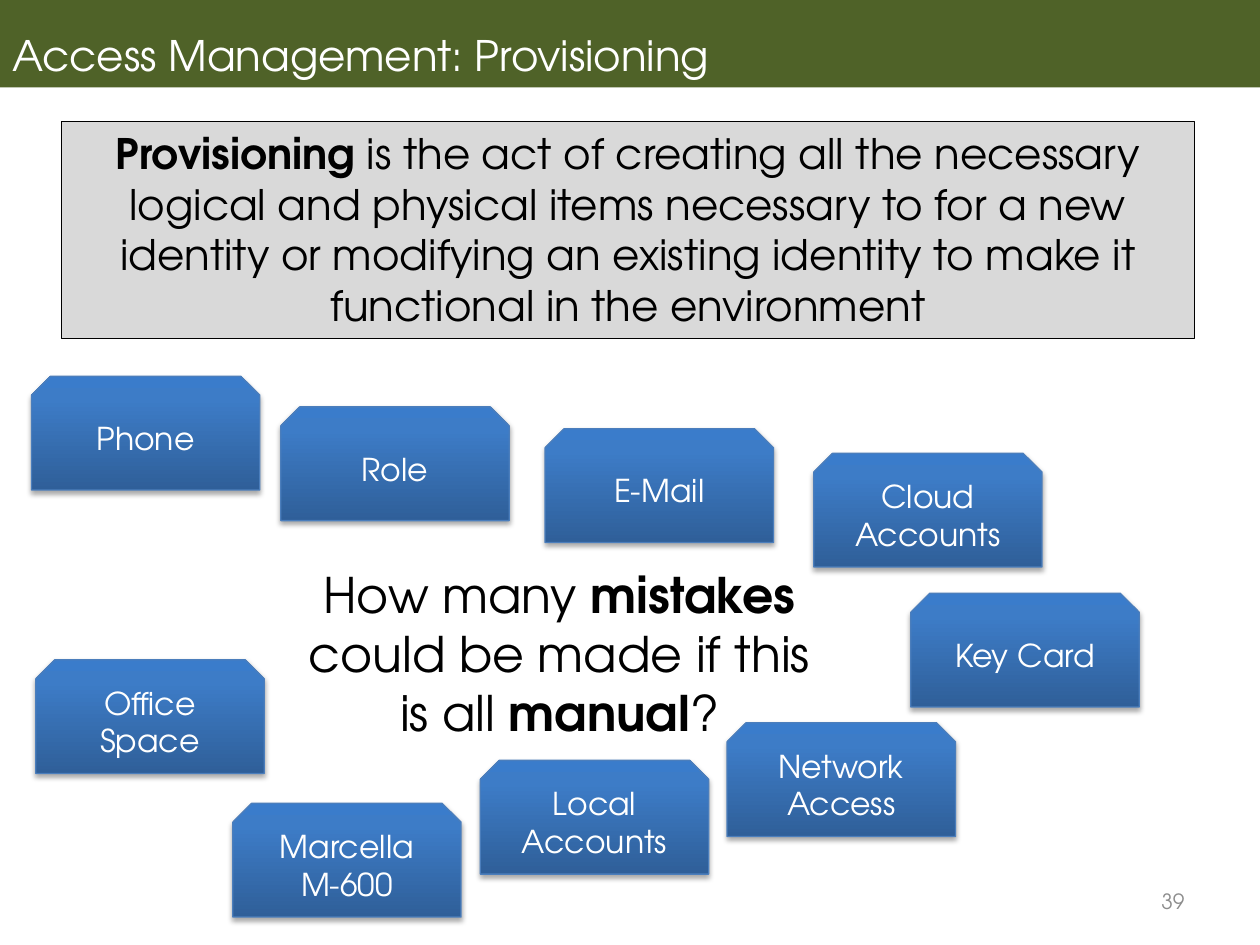
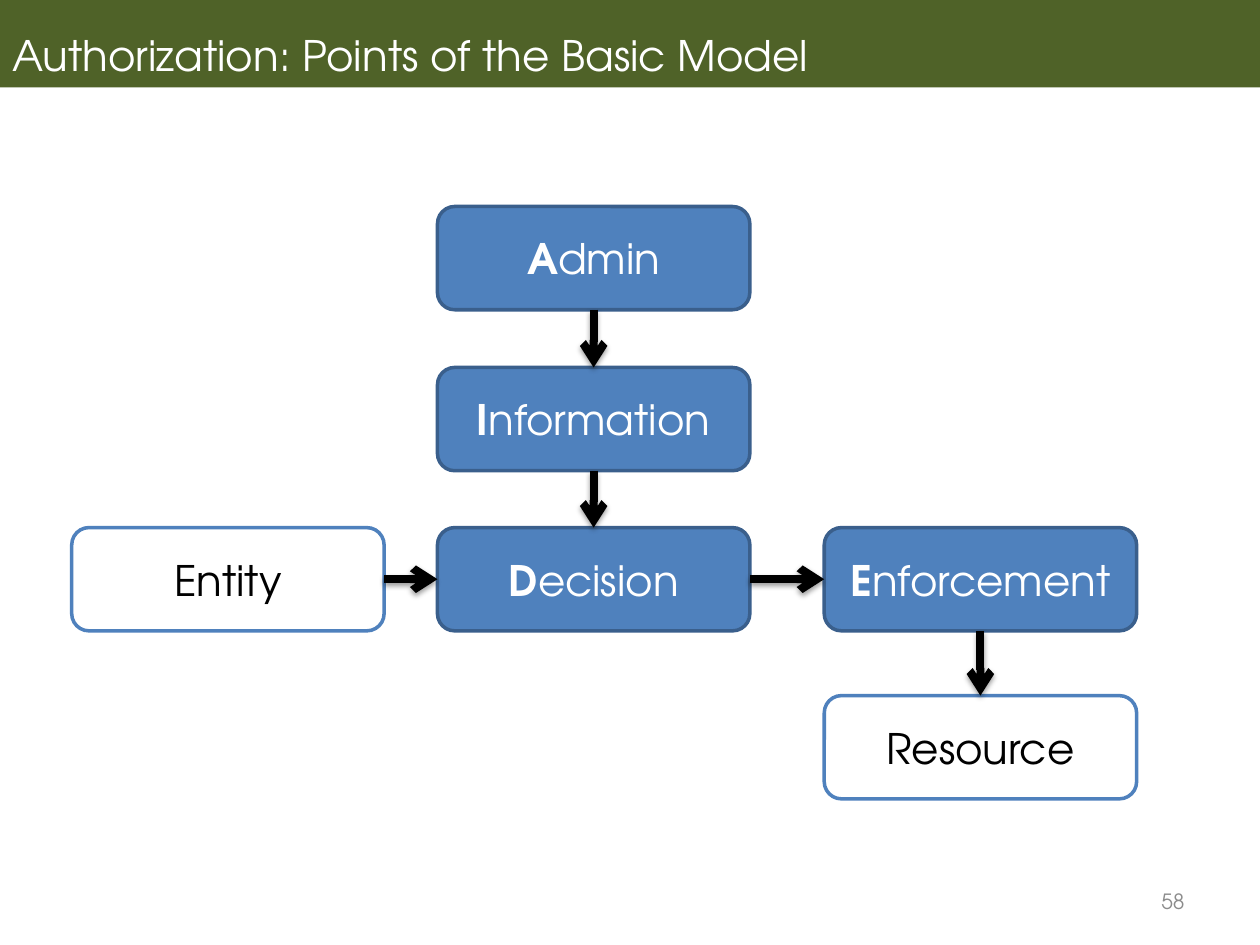
from pptx import Presentation
from pptx.dml.color import RGBColor
from pptx.enum.shapes import MSO_CONNECTOR, MSO_SHAPE
from pptx.enum.text import MSO_ANCHOR, PP_ALIGN
from pptx.oxml import parse_xml
from pptx.oxml.ns import nsdecls
from pptx.util import Pt

FONT = "TeX Gyre Adventor"
OLIVE = RGBColor(0x4F, 0x62, 0x28)
BLUE = RGBColor(0x4F, 0x81, 0xBD)
DARK_BLUE = RGBColor(0x3A, 0x5F, 0x8C)
TAG_EDGE = RGBColor(0x4B, 0x7E, 0xBC)
LIGHT_GREY = RGBColor(0xD9, 0xD9, 0xD9)
GREY = RGBColor(0x8C, 0x8C, 0x8C)
BLACK = RGBColor(0, 0, 0)
WHITE = RGBColor(255, 255, 255)
TAG_STOPS = ((0, "2F5F99"), (80, "3D7CC7"), (100, "3A7CCB"))

RECT, ROUNDED = MSO_SHAPE.RECTANGLE, MSO_SHAPE.ROUNDED_RECTANGLE
SNIPPED = MSO_SHAPE.SNIP_2_SAME_RECTANGLE
STRAIGHT = MSO_CONNECTOR.STRAIGHT
LEFT, CENTER, RIGHT = PP_ALIGN.LEFT, PP_ALIGN.CENTER, PP_ALIGN.RIGHT
TOP, MIDDLE = MSO_ANCHOR.TOP, MSO_ANCHOR.MIDDLE
SITE_TOP, SITE_LEFT, SITE_BOTTOM, SITE_RIGHT = range(4)

SLIDE_W, SLIDE_H = 720, 540
TAG_W, TAG_H = 130.5, 65
NODE_W, NODE_H = 178.5, 59
NODE_COLS = (41, 250, 471)
NODE_ROWS = (118, 210, 301.5, 397.5)

TAGS = (
    ("Phone", 18, 215),
    ("Role", 160.5, 232.5),
    ("E-Mail", 311.5, 245),
    ("Cloud Accounts", 465, 259),
    ("Key Card", 520.5, 339),
    ("Network Access", 415.5, 413),
    ("Local Accounts", 274.5, 434.5),
    ("Marcella M-600", 133, 459),
    ("Office Space", 20.5, 377),
)
NODES = (
    ("**A**dmin", 1, 0, True),
    ("**I**nformation", 1, 1, True),
    ("Entity", 0, 2, False),
    ("**D**ecision", 1, 2, True),
    ("**E**nforcement", 2, 2, True),
    ("Resource", 2, 3, False),
)


def set_text(shape, text, size=24, color=BLACK, align=CENTER, anchor=MIDDLE,
             spacing=None, inset_top=3.6):
    """Write one paragraph, with the parts between ** marks in bold."""
    tf = shape.text_frame
    tf.word_wrap = True
    tf.vertical_anchor = anchor
    tf.margin_top = Pt(inset_top)
    p = tf.paragraphs[0]
    p.alignment = align
    if spacing:
        p.line_spacing = spacing
    for i, part in enumerate(text.split("**")):
        if part:
            r = p.add_run()
            r.text = part
            r.font.name = FONT
            r.font.size = Pt(size)
            r.font.bold = i % 2 == 1
            r.font.color.rgb = color


def add_box(s, kind, x, y, w, h, fill=None, line=None, width=0.75):
    """Add a preset shape without shadow."""
    sp = s.shapes.add_shape(kind, Pt(x), Pt(y), Pt(w), Pt(h))
    sp.shadow.inherit = False
    if fill is not None:
        sp.fill.solid()
        sp.fill.fore_color.rgb = fill
    if line is None:
        sp.line.fill.background()
    else:
        sp.line.color.rgb = line
        sp.line.width = Pt(width)
    return sp


def add_label(s, text, x, y, w, h, **fmt):
    """Add a text box."""
    set_text(s.shapes.add_textbox(Pt(x), Pt(y), Pt(w), Pt(h)), text, **fmt)


def set_shadow(shape, alpha, distance):
    """Give a shape a soft black shadow straight below it."""
    spPr = shape._element.spPr
    for old in spPr.findall("{*}effectLst"):
        spPr.remove(old)
    spPr.append(parse_xml(
        f'<a:effectLst {nsdecls("a")}><a:outerShdw blurRad="{Pt(3.1)}" '
        f'dist="{Pt(distance)}" dir="5400000" rotWithShape="0">'
        f'<a:srgbClr val="000000"><a:alpha val="{alpha * 1000}"/></a:srgbClr>'
        '</a:outerShdw></a:effectLst>'))


def add_tag(s, text, x, y):
    """Add a snipped box with a blue gradient."""
    sp = add_box(s, SNIPPED, x, y, TAG_W, TAG_H, line=TAG_EDGE)
    stops = "".join(f'<a:gs pos="{pos * 1000}"><a:srgbClr val="{color}"/></a:gs>'
                    for pos, color in TAG_STOPS)
    sp.line._ln.addprevious(parse_xml(
        f'<a:gradFill {nsdecls("a")} rotWithShape="1"><a:gsLst>{stops}</a:gsLst>'
        '<a:lin ang="16200000" scaled="0"/></a:gradFill>'))
    set_shadow(sp, 35, 1.8)
    set_text(sp, text, size=18, color=WHITE)


def add_node(s, text, col, row, is_point):
    """Add a rounded box of the model at a grid place."""
    fill, line, color = (BLUE, DARK_BLUE, WHITE) if is_point else (WHITE, BLUE, BLACK)
    sp = add_box(s, ROUNDED, NODE_COLS[col], NODE_ROWS[row], NODE_W, NODE_H,
                 fill, line, 2)
    set_text(sp, text, color=color)
    return sp


def add_arrow(s, start, start_site, end, end_site):
    """Join two nodes with a thick arrow."""
    c = s.shapes.add_connector(STRAIGHT, 0, 0, 0, 0)
    c.begin_connect(start, start_site)
    c.end_connect(end, end_site)
    c.line.color.rgb = BLACK
    c.line.width = Pt(4.5)
    c.line._ln.append(parse_xml(f'<a:tailEnd {nsdecls("a")} type="arrow"/>'))
    set_shadow(c, 38, 1.6)


def add_slide(prs, title, number):
    """Add a blank slide with the title band and the slide number."""
    s = prs.slides.add_slide(prs.slide_layouts[6])
    band = add_box(s, RECT, 0, -0.5, SLIDE_W, 50.5, OLIVE)
    set_text(band, title, color=WHITE, align=LEFT, anchor=TOP, spacing=0.9,
             inset_top=20.5)
    add_label(s, str(number), 516, 500.5, 168, 28.5, size=12, color=GREY, align=RIGHT)
    return s


def provisioning_slide(prs):
    """Build the slide on provisioning."""
    s = add_slide(prs, "Access Management: Provisioning", 39)
    definition = add_box(s, RECT, 35, 69.5, 647.5, 124, LIGHT_GREY, BLACK)
    set_text(definition, "**Provisioning** is the act of creating all the necessary "
             "logical and physical items necessary to for a new identity or modifying "
             "an existing identity to make it functional in the environment", anchor=TOP)
    for tag in TAGS:
        add_tag(s, *tag)
    add_label(s, "How many **mistakes** could be made if this is all **manual**?",
              162, 319, 315.5, 109, size=28, anchor=TOP)


def model_slide(prs):
    """Build the slide on the authorization model."""
    s = add_slide(prs, "Authorization: Points of the Basic Model", 58)
    admin, info, entity, decision, enforcement, resource = (
        add_node(s, *node) for node in NODES)
    for upper, lower in ((admin, info), (info, decision), (enforcement, resource)):
        add_arrow(s, upper, SITE_BOTTOM, lower, SITE_TOP)
    for before, after in ((entity, decision), (decision, enforcement)):
        add_arrow(s, before, SITE_RIGHT, after, SITE_LEFT)


def main():
    """Build and save the presentation."""
    prs = Presentation()
    prs.slide_width, prs.slide_height = Pt(SLIDE_W), Pt(SLIDE_H)
    provisioning_slide(prs)
    model_slide(prs)
    prs.save("out.pptx")


if __name__ == "__main__":
    main()
